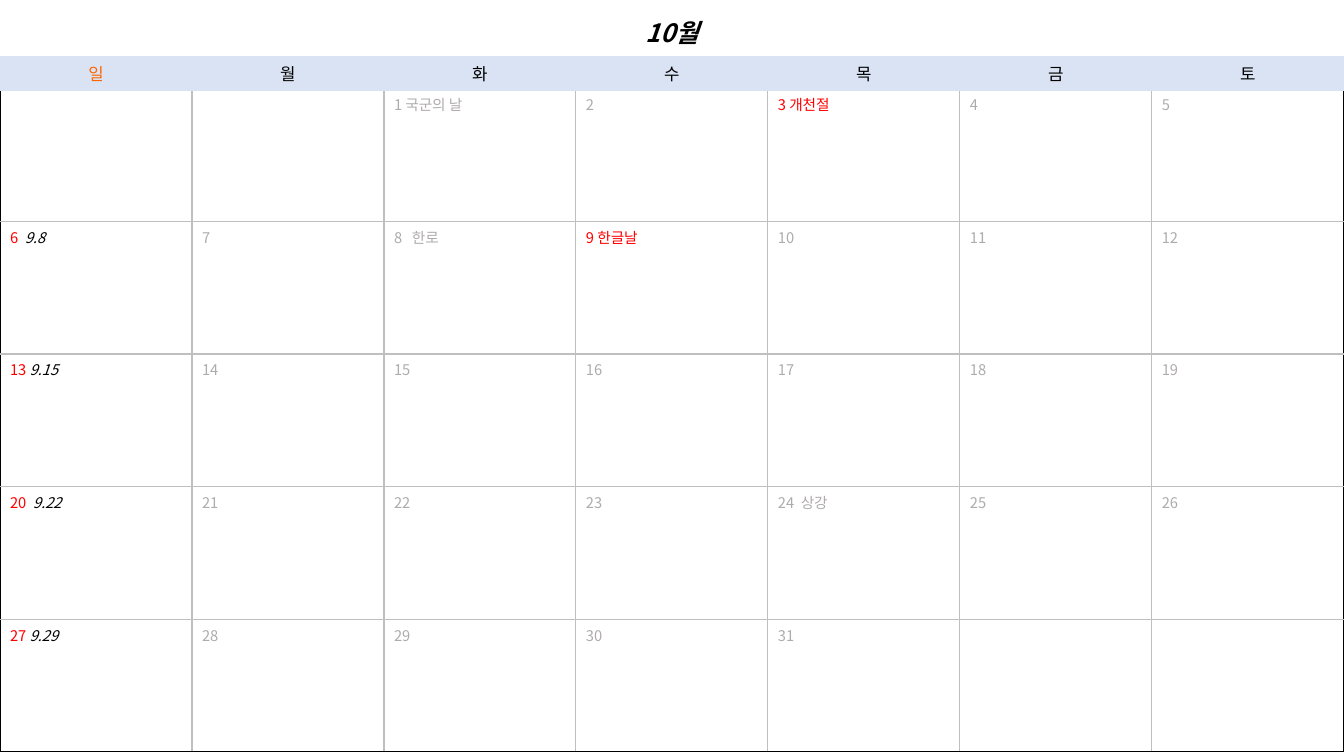
from pptx import Presentation
from pptx.dml.color import RGBColor as RGB
from pptx.enum.text import MSO_ANCHOR as Anchor, MSO_AUTO_SIZE as Fit, PP_ALIGN as Align
from pptx.oxml.ns import qn
from pptx.util import Inches, Pt
from lxml.etree import SubElement as Sub

FONT = "Noto Sans CJK KR"
PLAIN = "{2D5ABB26-0587-4C30-8999-92F81FD0307C}"
HEX = {"ink": "000000", "gray": "AFABAB", "red": "FF0000",
       "sun": "FF6600", "head": "DAE3F3", "grid": "BFBFBF"}
WIDE, HIGH = 13.33, 7.5
DAYS = "일월화수목금토"
WEEKS, START, LAST = 5, 2, 31
FEASTS = {3: "개천절", 9: "한글날"}
TERMS = {1: "국군의 날", 8: "한로", 24: "상강"}
LUNAR = {6: "9.8", 13: "9.15", 20: "9.22", 27: "9.29"}
GAPS = {6: 2.4, 8: 4.7, 20: 2.4, 24: 2.4}  # extra points between date and note


def style(run, size, color, bold=False, slant=False):
    """Set the font of a run for Latin and Korean text."""
    font = run.font
    font.name, font.size = FONT, Pt(size)
    font.bold, font.italic = bold, slant
    font.color.rgb = RGB.from_string(HEX[color])
    Sub(run._r.get_or_add_rPr(), qn("a:ea"), typeface=FONT)


def add_run(para, text, color, slant=False):
    """Add a run of calendar text to a paragraph."""
    run = para.add_run()
    run.text = text
    style(run, 10.5, color, slant=slant)
    return run


def add_grid(slide, rows, top, height):
    """Add a plain table of seven equal columns across the slide."""
    frame = slide.shapes.add_table(rows, len(DAYS), 0, Inches(top),
                                   Inches(WIDE), Inches(height))
    table = frame.table
    table.first_row = table.horz_banding = False
    next(table._tbl.iter(qn("a:tableStyleId"))).text = PLAIN
    for col in table.columns:
        col.width = Inches(WIDE / len(DAYS))
    for row in table.rows:
        row.height = Inches(height / rows)
    return table


def add_edges(cell, row, col):
    """Draw cell borders, black on the rim of the month."""
    rim = {"L": col == 0, "R": col == len(DAYS) - 1,
           "T": row == 0, "B": row == WEEKS - 1}
    props = cell._tc.get_or_add_tcPr()
    for side, outer in rim.items():
        line = Sub(props, qn("a:ln" + side), w=str(Pt(1)))
        fill = Sub(line, qn("a:solidFill"))
        Sub(fill, qn("a:srgbClr"), val=HEX["ink" if outer else "grid"])


def fill_day(cell, day):
    """Write a date and its holiday, solar term or lunar date."""
    para = cell.text_frame.paragraphs[0]
    lunar = day in LUNAR
    color = "red" if lunar or day in FEASTS else "gray"
    add_run(para, str(day), color)
    note = LUNAR.get(day) or FEASTS.get(day) or TERMS.get(day)
    if note:
        space = add_run(para, " ", color)
        space._r.get_or_add_rPr().set("spc", str(round(GAPS.get(day, 0) * 100)))
        add_run(para, note, "ink" if lunar else color, slant=lunar)


def add_month(slide):
    """Add the grid of weeks."""
    table = add_grid(slide, WEEKS, 0.88, 6.58)
    for row in range(WEEKS):
        for col in range(len(DAYS)):
            cell = table.cell(row, col)
            add_edges(cell, row, col)
            cell.fill.background()
            day = row * len(DAYS) + col - START + 1
            if 1 <= day <= LAST:
                fill_day(cell, day)


def add_head(slide):
    """Add the band of weekday names."""
    table = add_grid(slide, 1, 0.56, 0.3)
    for col, name in enumerate(DAYS):
        cell = table.cell(0, col)
        cell.fill.solid()
        cell.fill.fore_color.rgb = RGB.from_string(HEX["head"])
        cell.vertical_anchor = Anchor.MIDDLE
        cell.text_frame.text = name
        para = cell.text_frame.paragraphs[0]
        para.alignment = Align.CENTER
        style(para.runs[0], 12, "ink" if col else "sun")


def add_title(slide, text):
    """Add the centred month name."""
    box = slide.shapes.add_textbox(0, Inches(0.12), Inches(WIDE), Inches(0.4))
    frame = box.text_frame
    frame.word_wrap = True
    frame.auto_size = Fit.SHAPE_TO_FIT_TEXT
    frame.text = text
    para = frame.paragraphs[0]
    para.alignment = Align.CENTER
    style(para.runs[0], 18, "ink", bold=True, slant=True)


def main():
    """Build the October calendar."""
    deck = Presentation()
    deck.slide_width, deck.slide_height = Inches(WIDE), Inches(HIGH)
    slide = deck.slides.add_slide(deck.slide_layouts[6])
    add_month(slide)
    add_head(slide)
    add_title(slide, "10월")
    deck.save("out.pptx")


main()
